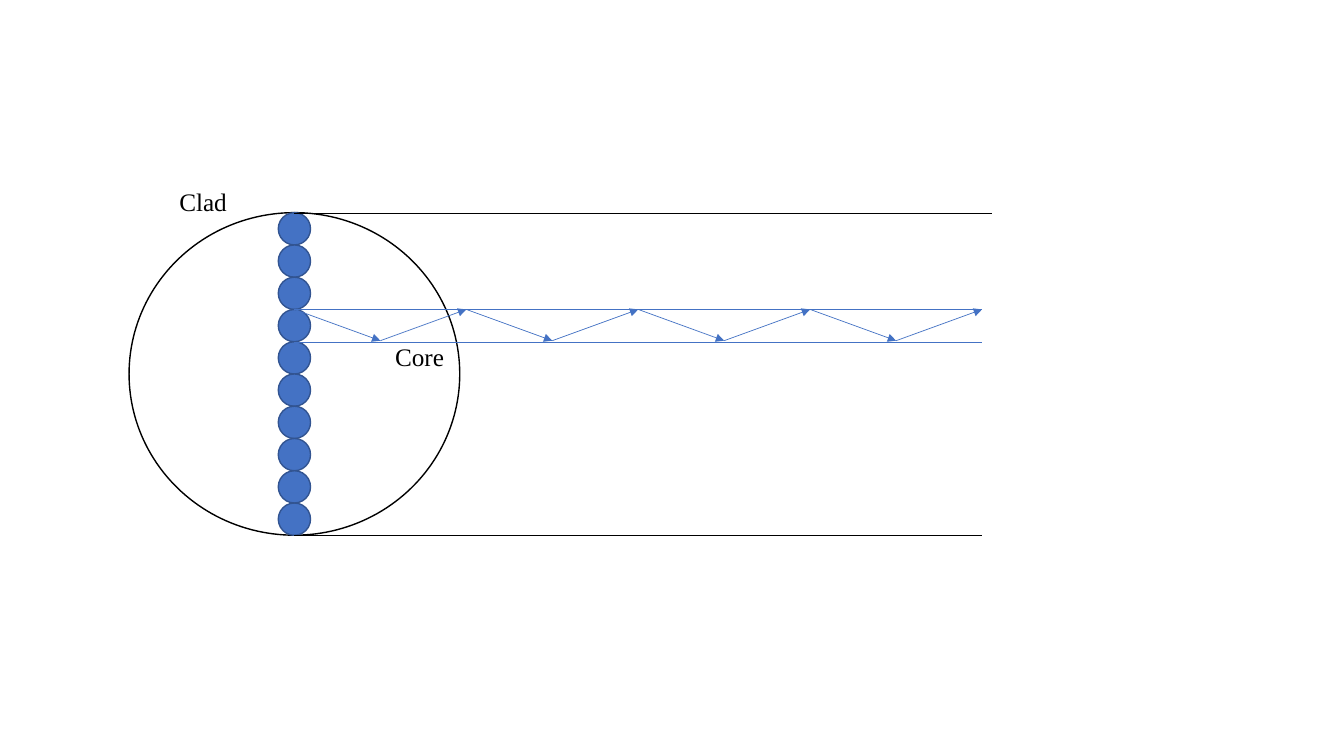
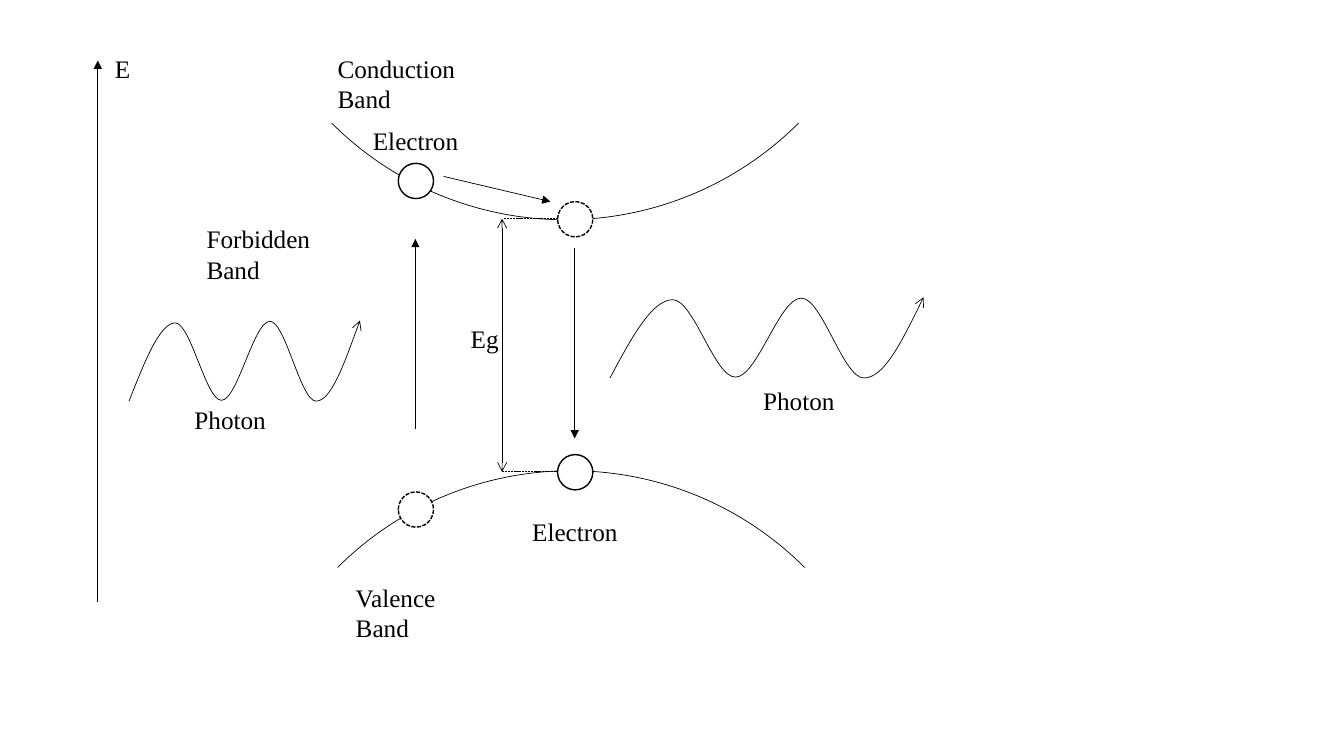
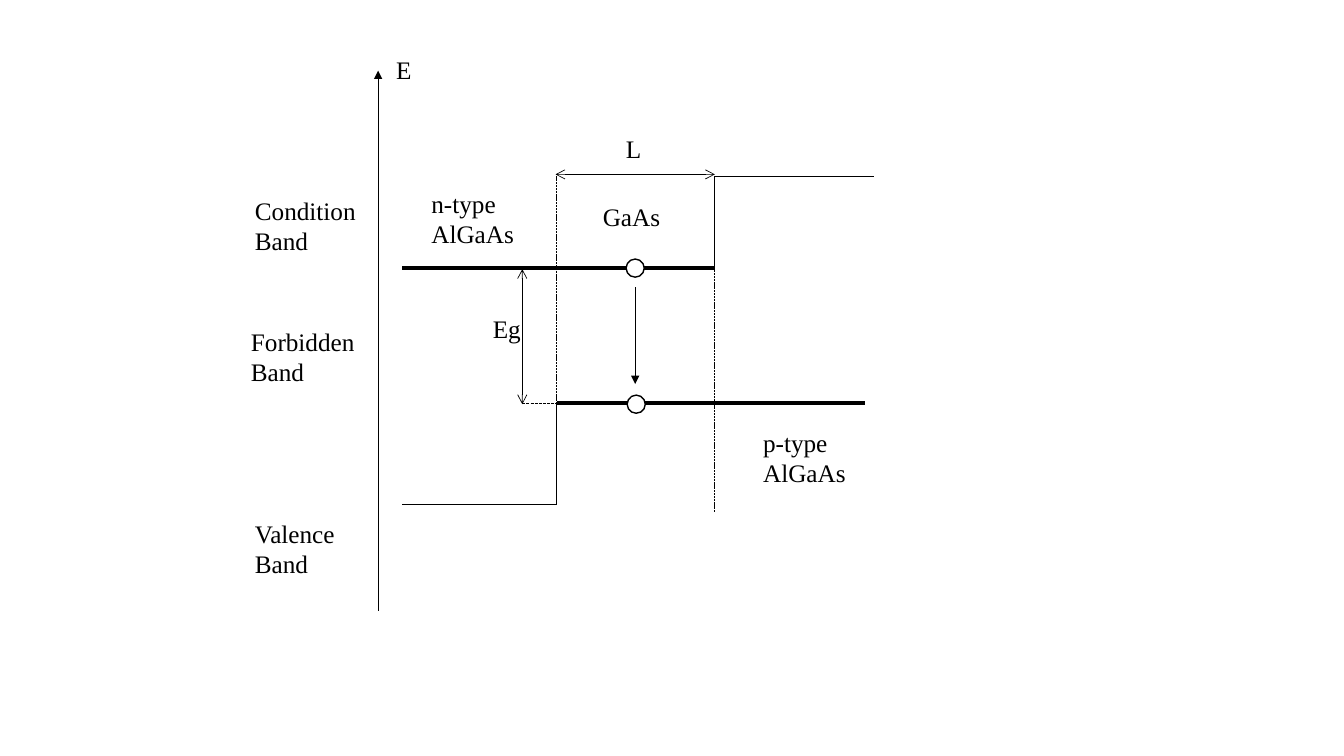
"""Three physics sketches: fibre core and clad, photon absorption, and a GaAs double heterostructure."""
import pptx
import pptx.util
import pptx.dml.color
import pptx.enum.dml
import pptx.enum.shapes
import pptx.enum.text
import pptx.oxml.ns
from lxml import etree

PX = 9144
WIDTH, HEIGHT = 1333, 750
FONT = "Times New Roman"
BLACK = pptx.dml.color.RGBColor(0x00, 0x00, 0x00)
WHITE = pptx.dml.color.RGBColor(0xFF, 0xFF, 0xFF)
BLUE = pptx.dml.color.RGBColor(0x44, 0x72, 0xC4)
NAVY = pptx.dml.color.RGBColor(0x32, 0x54, 0x91)
SHAPE = pptx.enum.shapes.MSO_SHAPE
ONE_LINE, TWO_LINES = 40, 71

DASHED = {"dashed": True}
ARROW = {"tail": "triangle"}
SPAN = {"head": "arrow", "tail": "arrow"}
THICK = {"weight": 3}

FIBRE_LABELS = [("Core", 382, 334, 139, ONE_LINE), ("Clad", 168, 180, 139, ONE_LINE)]
AXIS_X, CORE_TOP, CORE_BOTTOM, FIBRE_END = 292, 307, 340, 974
FIBRE_LINES = [
    (AXIS_X, 212, 984, 212, {}),
    (AXIS_X, 531, FIBRE_END, 531, {}),
    (AXIS_X, CORE_TOP, FIBRE_END, CORE_TOP, {"color": BLUE}),
    (AXIS_X, CORE_BOTTOM, FIBRE_END, CORE_BOTTOM, {"color": BLUE}),
]
BEADS, BEAD_PITCH, BEAD_SIZE = 10, 32, 32
BOUNCES, BOUNCE_LOW = 8, 338

PHOTON_LABELS = [
    ("Conduction Band", 325, 48, 149, TWO_LINES),
    ("Forbidden Band", 195, 217, 139, TWO_LINES),
    ("Valence Band", 343, 573, 139, TWO_LINES),
    ("E", 104, 48, 139, ONE_LINE),
    ("Photon", 183, 396, 139, ONE_LINE),
    ("Photon", 747, 377, 139, ONE_LINE),
    ("Electron", 360, 119, 139, ONE_LINE),
    ("Electron", 518, 507, 139, ONE_LINE),
    ("Eg", 457, 316, 139, ONE_LINE),
]
GAP_LINES = [(500, 217, 570, 217, DASHED), (498, 468, 570, 468, DASHED)]
ABSORPTION_LINES = [(412, 426, 412, 237, ARROW)]
EMISSION_LINES = [(570, 246, 570, 435, ARROW)]
PHOTON_LINES = [
    (97, 597, 97, 60, ARROW),
    (498, 217, 498, 468, SPAN),
    (440, 175, 546, 200, ARROW),
]
BAND_ARCS = [(239, 467, 315), (233, -437, 135)]
BAND_SIZE = 655
ABSORBING = [(395, 488, True), (395, 162, False)]
EMITTING = [(553, 200, True), (553, 451, False)]
ELECTRON_SIZE = 35
WAVES = [(128, 318, 229), (605, 295, 311)]
WAVE_HEIGHT = 80
WAVE_KNOTS = [(0, 1), (0.2, 0.03), (0.4, 0.99), (0.61, 0.01), (0.81, 1), (1, 0)]

JUNCTION_LABELS = [
    ("Condition Band", 243, 189, 139, TWO_LINES),
    ("Forbidden Band", 239, 319, 139, TWO_LINES),
    ("Valence Band", 243, 509, 139, TWO_LINES),
    ("E", 383, 49, 139, ONE_LINE),
    ("Eg", 479, 306, 139, ONE_LINE),
    ("L", 611, 127, 139, ONE_LINE),
    ("GaAs", 588, 195, 139, ONE_LINE),
    ("p-type\nAlGaAs", 747, 419, 139, TWO_LINES),
    ("n-type\nAlGaAs", 418, 182, 178, TWO_LINES),
]
WELL_LEFT, WELL_RIGHT = 552, 709
JUNCTION_LINES = [
    (399, 500, WELL_LEFT, 500, {}),
    (375, 606, 375, 70, ARROW),
    (WELL_RIGHT, 175, WELL_RIGHT, 267, {}),
    (WELL_RIGHT, 175, 867, 175, {}),
    (399, 266, WELL_RIGHT, 266, THICK),
    (WELL_LEFT, 400, 858, 400, THICK),
    (WELL_LEFT, 400, WELL_LEFT, 500, {}),
    (630, 285, 630, 381, ARROW),
    (518, 401, 518, 267, SPAN),
    (551, 173, WELL_RIGHT, 173, SPAN),
    (WELL_LEFT, 175, WELL_LEFT, 500, DASHED),
    (WELL_RIGHT, 268, WELL_RIGHT, 508, DASHED),
    (518, 400, 554, 400, {"dashed": True, "weight": 0.75}),
]
CARRIERS = [(621, 257), (622, 392)]
CARRIER_SIZE = 18


def emu(*lengths):
    return [round(length * PX) for length in lengths]


def style_line(shape, color=BLACK, weight=0.5, dashed=False, head=None, tail=None):
    line = shape.line
    line.color.rgb = color
    line.width = pptx.util.Pt(weight)
    if dashed:
        line.dash_style = pptx.enum.dml.MSO_LINE.SQUARE_DOT
    ln = shape.element.spPr.find(pptx.oxml.ns.qn("a:ln"))
    for tag, kind in (("a:headEnd", head), ("a:tailEnd", tail)):
        if kind:
            etree.SubElement(ln, pptx.oxml.ns.qn(tag), type=kind)


def add_lines(s, lines):
    for x1, y1, x2, y2, look in lines:
        line = s.shapes.add_connector(
            pptx.enum.shapes.MSO_CONNECTOR.STRAIGHT, *emu(x1, y1, x2, y2))
        style_line(line, **look)
        etree.SubElement(line.element.spPr, pptx.oxml.ns.qn("a:effectLst"))


def add_outline(s, kind, x, y, w, h, fill=WHITE, **look):
    sp = s.shapes.add_shape(kind, *emu(x, y, w, h))
    if fill is None:
        sp.fill.background()
    else:
        sp.fill.solid()
        sp.fill.fore_color.rgb = fill
    style_line(sp, **look)
    sp.shadow.inherit = False
    return sp


def add_circle(s, x, y, size, **look):
    return add_outline(s, SHAPE.OVAL, x, y, size, size, weight=1, **look)


def add_electrons(s, electrons):
    for x, y, dashed in electrons:
        add_circle(s, x, y, ELECTRON_SIZE, dashed=dashed)


def bend_segments(sp):
    qn = pptx.oxml.ns.qn
    outline = next(sp.element.spPr.iter(qn("a:path".replace("a:", "a:"))))
    knots = [(int(pt.get("x")), int(pt.get("y"))) for pt in outline.iter(qn("a:pt"))]
    for segment in outline.findall(qn("a:lnTo")):
        outline.remove(segment)
    last = len(knots) - 2
    for i, ((x1, y1), (x2, y2)) in enumerate(zip(knots, knots[1:])):
        middle = (y1 + y2) // 2
        third = (x2 - x1) // 3
        curve = etree.SubElement(outline, qn("a:cubicBezTo"))
        for x, y in ((x1 + third, y1 if i else middle),
                     (x2 - third, y2 if i < last else middle),
                     (x2, y2)):
            etree.SubElement(curve, qn("a:pt"), x=str(x), y=str(y))


def add_wave(s, x, y, width):
    points = [emu(x + width * across, y + WAVE_HEIGHT * down) for across, down in WAVE_KNOTS]
    builder = s.shapes.build_freeform(*points[0])
    builder.add_line_segments(points[1:], close=False)
    sp = builder.convert_to_shape()
    bend_segments(sp)
    sp.fill.background()
    style_line(sp, tail="arrow")
    sp.shadow.inherit = False


def add_text(s, text, x, y, w, h, size=18, color=BLACK, font=FONT):
    tf = s.shapes.add_textbox(*emu(x, y, w, h)).text_frame
    tf.word_wrap = True
    tf.auto_size = pptx.enum.text.MSO_AUTO_SIZE.SHAPE_TO_FIT_TEXT
    for i, words in enumerate(text.split("\n")):
        p = tf.add_paragraph() if i else tf.paragraphs[0]
        r = p.add_run()
        r.text = words
        r.font.size = pptx.util.Pt(size)
        r.font.name = font
        r.font.color.rgb = color


def add_labels(s, labels):
    for label in labels:
        add_text(s, *label)


def draw_fibre(s):
    add_outline(s, SHAPE.OVAL, 128, 211, 328, 320, weight=1)
    for i in range(BEADS):
        add_circle(s, 276, 211 + i * BEAD_PITCH, BEAD_SIZE, fill=BLUE, color=NAVY)
    add_lines(s, FIBRE_LINES)
    step = (FIBRE_END - AXIS_X) / BOUNCES
    walls = (CORE_TOP, BOUNCE_LOW)
    add_lines(s, [
        (AXIS_X + i * step, walls[i % 2], AXIS_X + (i + 1) * step, walls[(i + 1) % 2],
         {"color": BLUE, **ARROW})
        for i in range(BOUNCES)])
    add_labels(s, FIBRE_LABELS)


def draw_photon(s):
    add_lines(s, GAP_LINES)
    for x, y, angle in BAND_ARCS:
        arc = add_outline(s, SHAPE.ARC, x, y, BAND_SIZE, BAND_SIZE, fill=None)
        arc.rotation = angle
    add_electrons(s, ABSORBING)
    add_lines(s, ABSORPTION_LINES)
    emission = s.shapes.add_group_shape()
    add_electrons(emission, EMITTING)
    add_lines(emission, EMISSION_LINES)
    for wave in WAVES:
        add_wave(s, *wave)
    add_lines(s, PHOTON_LINES)
    add_labels(s, PHOTON_LABELS)


def draw_junction(s):
    junction = s.shapes.add_group_shape()
    add_lines(junction, JUNCTION_LINES)
    for x, y in CARRIERS:
        add_circle(junction, x, y, CARRIER_SIZE)
    add_labels(junction, JUNCTION_LABELS)


def main():
    prs = pptx.Presentation()
    prs.slide_width, prs.slide_height = emu(WIDTH, HEIGHT)
    for draw in (draw_fibre, draw_photon, draw_junction):
        draw(prs.slides.add_slide(prs.slide_layouts[6]))
    prs.save("out.pptx")


if __name__ == "__main__":
    main()
